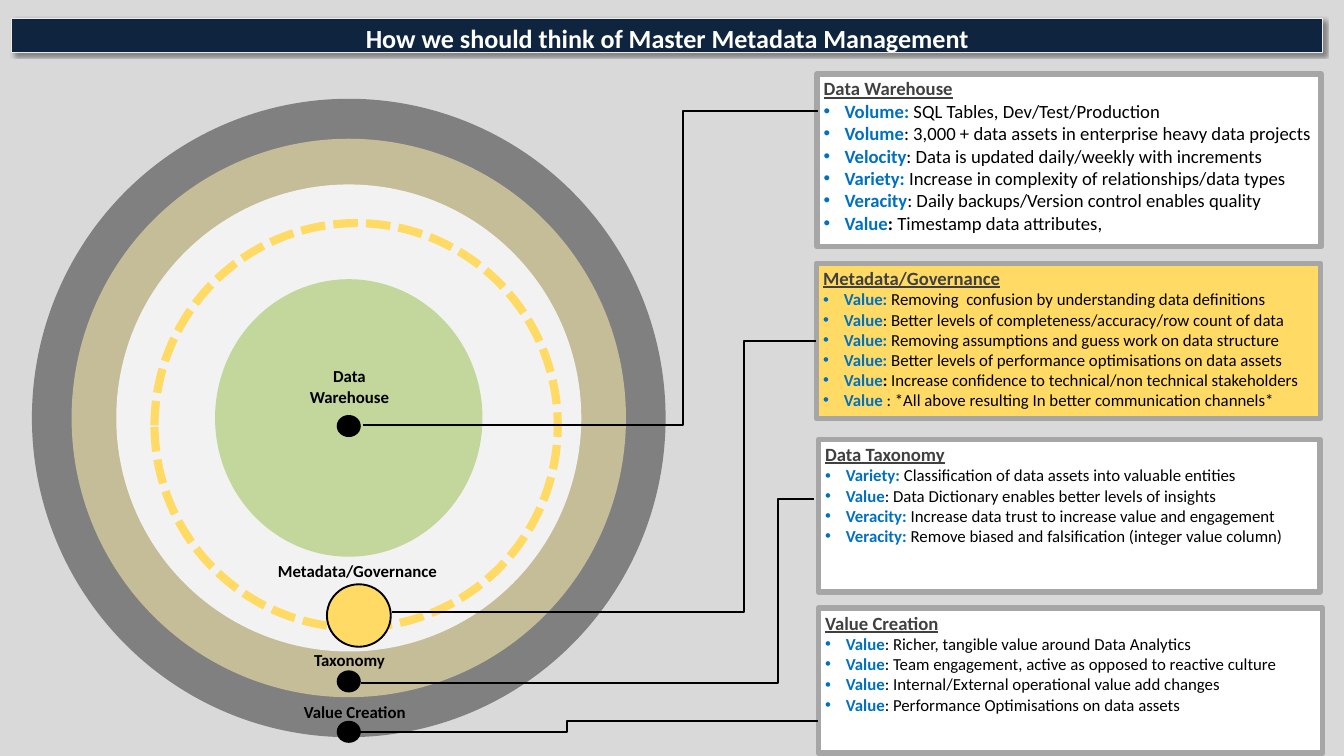
from lxml.etree import SubElement as Sub
from pptx import Presentation
from pptx.dml.color import RGBColor
from pptx.enum.dml import MSO_LINE_DASH_STYLE as Dash
from pptx.enum.shapes import MSO_CONNECTOR as Link, MSO_SHAPE as Kind
from pptx.enum.text import MSO_ANCHOR as Anchor, MSO_AUTO_SIZE as Auto, PP_ALIGN as Align
from pptx.oxml.ns import qn
from pptx.util import Inches, Pt

WIDE, HIGH = 20, 11.25
MID, CORE = 5.19, 6.22
BLACK, WHITE, GOLD, GREY, BLUE = "000000", "FFFFFF", "FFDA65", "A6A6A6", "0070C0"

TITLE = "How we should think of Master Metadata Management"
# centre x, centre y, width, height, fill, line colour, line width
RINGS = [
    (MID, CORE, 9.43, 9.5, "808080", None, 0),
    (MID, CORE, 8.25, 8.31, "C4BD97", None, 0),
    (MID, CORE, 6.92, 6.95, "F2F2F2", None, 0),
    (MID, CORE, 3.98, 4.13, "C3D69B", None, 0),
    (5.3, 6.33, 6, 6.02, None, GOLD, 8.75),
    (5.34, 9.16, 0.95, 0.93, GOLD, BLACK, 2),
] + [(MID, y, 0.33, 0.3, BLACK, BLACK, 2) for y in (6.34, 10.14, 10.89)]
LABELS = [
    ("Data Warehouse", 5.2, 5.4, 1.55, 0.71),
    ("Metadata/Governance", 5.32, 8.29, 2.87, 0.4),
    ("Taxonomy", 5.2, 9.62, 1.55, 0.4),
    ("Value Creation", 5.28, 10.39, 2.43, 0.4),
]
PANELS = [
    ("Data Warehouse", (12.16, 1.1, 7.5, 2.57), WHITE, 20, [
        ("Volume: ", "SQL Tables, Dev/Test/Production"),
        ("Volume", ": 3,000 + data assets in enterprise heavy data projects"),
        ("Velocity", ": Data is updated daily/weekly with increments"),
        ("Variety: ", "Increase in complexity of relationships/data types"),
        ("Veracity", ": Daily backups/Version control enables quality"),
        ("Value", "Timestamp data attributes,", ": "),
    ]),
    ("Metadata/Governance", (12.15, 3.92, 7.5, 2.31), GOLD, 18, [
        ("Value: ", "Removing  confusion by understanding data definitions"),
        ("Value", ": Better levels of completeness/accuracy/row count of data"),
        ("Value: ", "Removing assumptions and guess work on data structure"),
        ("Value: ", "Better levels of performance optimisations on data assets"),
        ("Value", "Increase confidence to technical/non technical stakeholders", ": "),
        ("Value", " : *All above resulting In better communication channels*"),
    ]),
    ("Data Taxonomy", (12.18, 6.54, 7.46, 2.27), WHITE, 18, [
        ("Variety: ", "Classification of data assets into valuable entities"),
        ("Value", ": Data Dictionary enables better levels of insights"),
        ("Veracity: ", "Increase data trust to increase value and engagement"),
        ("Veracity: ", "Remove biased and falsification (integer value column)"),
    ]),
    ("Value Creation", (12.18, 9.05, 7.5, 2.16), WHITE, 18, [
        ("Value", ": Richer, tangible value around Data Analytics"),
        ("Value", ": Team engagement, active as opposed to reactive culture"),
        ("Value", ": Internal/External operational value add changes"),
        ("Value", ": Performance Optimisations on data assets"),
    ]),
]
# start x, start y, end x, end y, x of the bend, panel joined at its left side
WIRES = [
    (5.4, 6.33, 12.17, 1.65, 10.16, None),
    (5.84, 9.11, 12.15, 5.07, 11.07, 1),
    (5.37, 10.17, 12.11, 7.43, 11.58, None),
    (5.35, 10.89, 12.17, 10.73, 8.43, None),
]


def tint(code):
    return RGBColor.from_string(code)


def inch(*nums):
    return [Inches(n) for n in nums]


def paint(shape, fill, line, width):
    if fill:
        shape.fill.solid()
        shape.fill.fore_color.rgb = tint(fill)
    else:
        shape.fill.background()
    if line:
        shape.line.color.rgb = tint(line)
        shape.line.width = Pt(width)
    else:
        shape.line.fill.background()


def write(para, text, size, code=BLACK, **form):
    run = para.add_run()
    run.text = text
    run.font.color.rgb = tint(code)
    for key, val in {"name": "Calibri", "size": Pt(size), "bold": True, **form}.items():
        setattr(run.font, key, val)


def setup(frame, **form):
    for key, val in {"word_wrap": True, "auto_size": Auto.NONE,
                     "vertical_anchor": Anchor.TOP, **form}.items():
        setattr(frame, key, val)
    return frame.paragraphs[0]


def head(slide):
    bar = slide.shapes.title
    bar.left, bar.top, bar.width, bar.height = inch(0.17, 0.28, 19.51, 0.5)
    paint(bar, "0F243E", "EEECE1", 1)
    para = setup(bar.text_frame)
    para.alignment = Align.CENTER
    write(para, TITLE, 28, WHITE)
    glow = Sub(Sub(bar._element.spPr, qn("a:effectLst")), qn("a:outerShdw"),
               blurRad=str(Pt(4)), dist=str(Pt(3)), dir="2700000", rotWithShape="0")
    Sub(Sub(glow, qn("a:srgbClr"), val=BLACK), qn("a:alpha"), val="40000")


def ring(slide, x, y, w, h, fill, line, width):
    disc = slide.shapes.add_shape(Kind.OVAL, *inch(x - w / 2, y - h / 2, w, h))
    disc.shadow.inherit = False
    paint(disc, fill, line, width)
    if not fill:
        disc.line.dash_style = Dash.SQUARE_DOT


def bullet(para):
    props = para._p.get_or_add_pPr()
    props.set("marL", str(Inches(0.31)))
    props.set("indent", str(-Inches(0.31)))
    Sub(props, qn("a:buFont"), typeface="Arial")
    Sub(props, qn("a:buChar"), char="•")


def panel(slide, name, place, fill, size, rows):
    box = slide.shapes.add_shape(Kind.RECTANGLE, *inch(*place))
    box.shadow.inherit = False
    paint(box, fill, GREY, 6)
    para = setup(box.text_frame)
    para.alignment = Align.LEFT
    write(para, name, 20, "404040", underline=True)
    for key, text, *mark in rows:
        para = box.text_frame.add_paragraph()
        para.alignment = Align.LEFT
        bullet(para)
        write(para, key, size, BLUE)
        for part in mark:
            write(para, part, size)
        write(para, text, size, bold=False)
    return box


def wire(slide, boxes, x1, y1, x2, y2, bend, goal):
    link = slide.shapes.add_connector(Link.ELBOW, *inch(x1, y1, x2, y2))
    link.line.color.rgb = tint(BLACK)
    link.line.width = Pt(2.25)
    if goal is not None:
        link.end_connect(boxes[goal], 1)
    props = link._element.spPr
    Sub(props, qn("a:effectLst"))
    share = round((bend - x1) / (x2 - x1) * 100000)
    Sub(props.find(qn("a:prstGeom")).find(qn("a:avLst")), qn("a:gd"),
        name="adj1", fmla=f"val {share}")


def label(slide, text, x, y, w, h):
    box = slide.shapes.add_textbox(*inch(x - w / 2, y, w, h))
    para = setup(box.text_frame, auto_size=Auto.SHAPE_TO_FIT_TEXT)
    para.alignment = Align.CENTER
    write(para, text, 18)


def main():
    """Build the metadata management slide."""
    deck = Presentation()
    deck.slide_width, deck.slide_height = inch(WIDE, HIGH)
    slide = deck.slides.add_slide(deck.slide_layouts[5])
    slide.background.fill.solid()
    slide.background.fill.fore_color.rgb = tint("D9D9D9")
    head(slide)
    for row in RINGS:
        ring(slide, *row)
    boxes = [panel(slide, *row) for row in PANELS]
    for row in WIRES:
        wire(slide, boxes, *row)
    for row in LABELS:
        label(slide, *row)
    deck.save("out.pptx")


if __name__ == "__main__":
    main()
